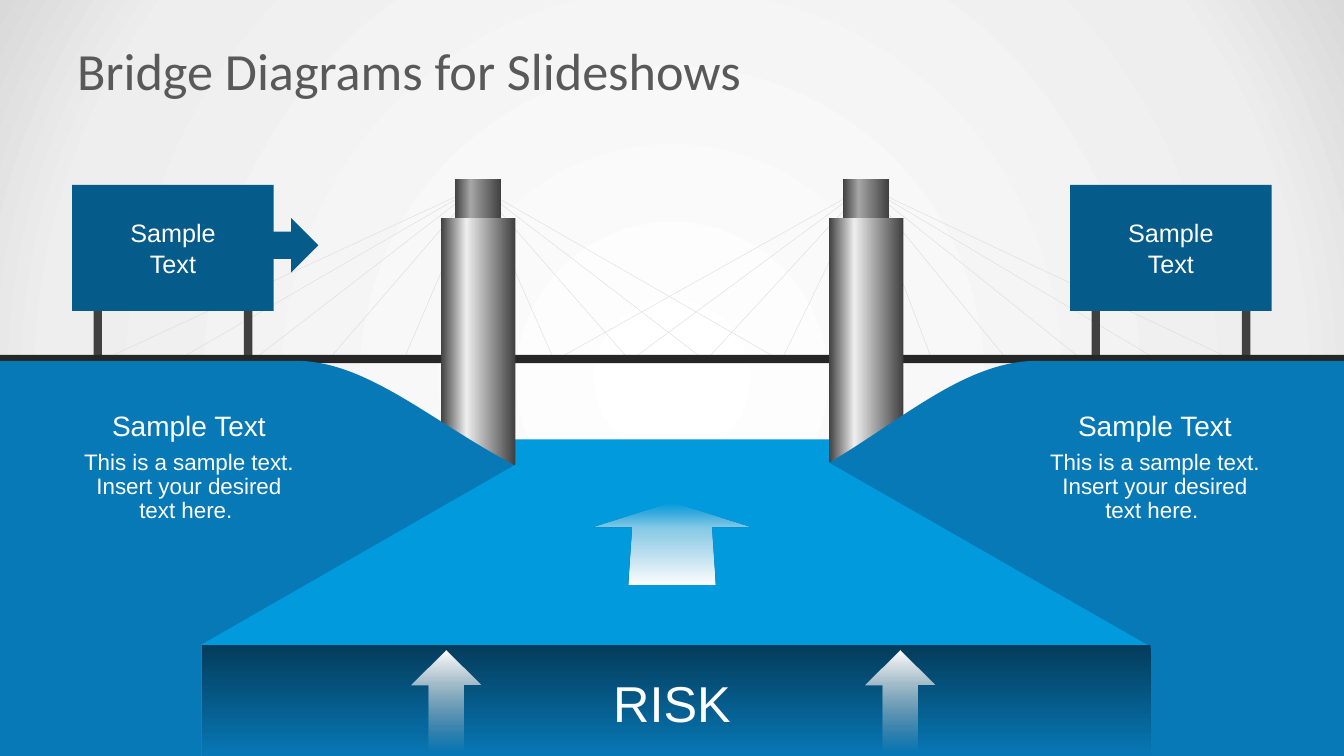
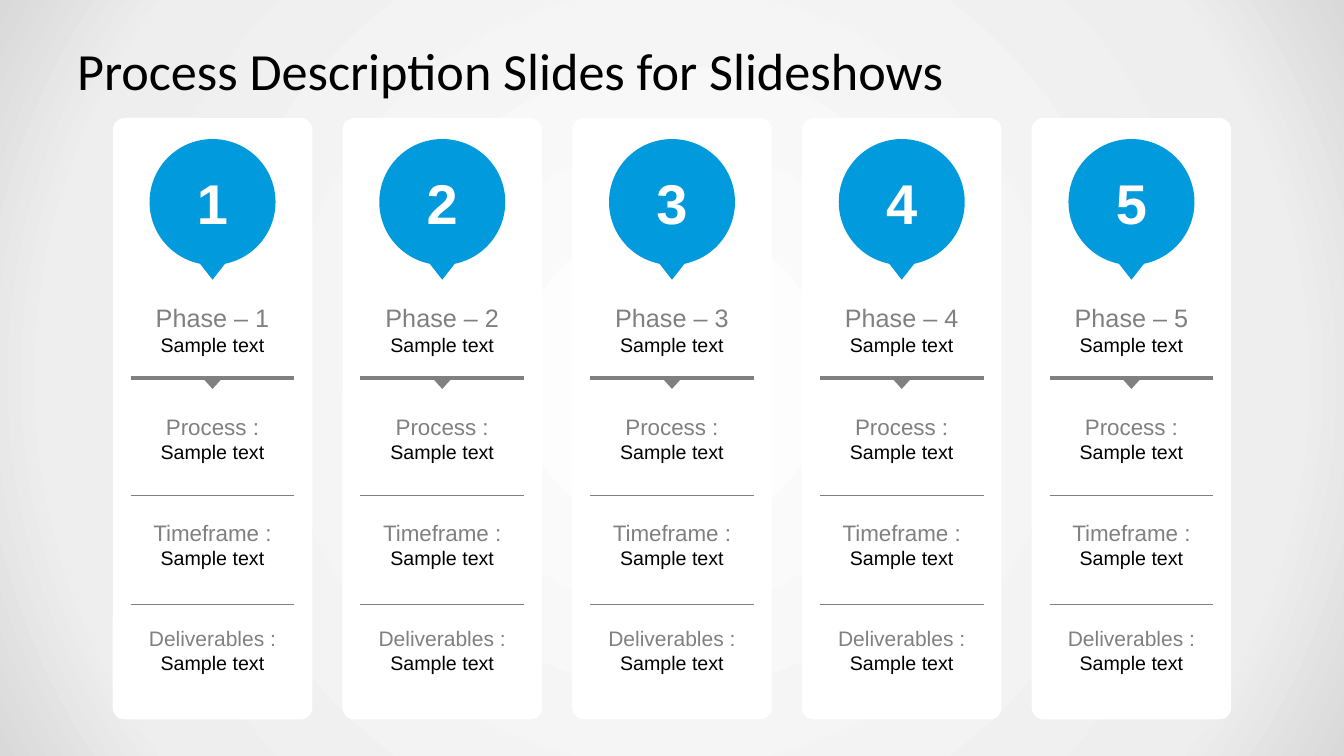
from lxml import etree
from pptx import Presentation, oxml
from pptx import util as u
from pptx.dml.color import RGBColor
from pptx.enum import shapes, text
from pptx.oxml import ns

# Grid: 160 columns by 90 rows of square cells, twelve to the inch
COLUMNS, ROWS = 160, 90
CELL = u.Inches(1) // 12

WHITE = RGBColor(0xFF, 0xFF, 0xFF)
BLACK = RGBColor(0x00, 0x00, 0x00)
PALE = RGBColor(0xEE, 0xEE, 0xEE)
LIGHT = RGBColor(0xD9, 0xD9, 0xD9)
SILVER = RGBColor(0xA6, 0xA6, 0xA6)
GRAY = RGBColor(0x80, 0x80, 0x80)
SLATE = RGBColor(0x59, 0x59, 0x59)
STEEL = RGBColor(0x40, 0x40, 0x40)
ASPHALT = RGBColor(0x26, 0x26, 0x26)
WATER = RGBColor(0x01, 0x9A, 0xDD)
BANK = RGBColor(0x07, 0x79, 0xB7)
BOARD = RGBColor(0x05, 0x5B, 0x89)
DEPTH = RGBColor(0x04, 0x3C, 0x5C)

BODY_FONT, TITLE_FONT = "Arial", "Calibri"
KIND = shapes.MSO_SHAPE


def cells(*lengths):
    return [u.Emu(round(length * CELL)) for length in lengths]


def gradient(*stops, angle=None):
    """Build a gradient from (percent, colour[, opacity]); no angle means radial."""
    stop_xml = ""
    for position, colour, *opacity in stops:
        alpha = f'<a:alpha val="{opacity[0] * 1000}"/>' if opacity else ""
        stop_xml += (f'<a:gs pos="{position * 1000}"><a:srgbClr val="{colour}">'
                     f'{alpha}</a:srgbClr></a:gs>')
    if angle is None:
        direction = ('<a:path path="circle"><a:fillToRect l="50000" t="50000" '
                     'r="50000" b="50000"/></a:path>')
    else:
        direction = f'<a:lin ang="{angle * 60000}" scaled="0"/>'
    return oxml.parse_xml(f'<a:gradFill {ns.nsdecls("a")} rotWithShape="1">'
                          f'<a:gsLst>{stop_xml}</a:gsLst>{direction}</a:gradFill>')


def paint(fill, parent, paint_with):
    """Fill with a plain colour, or swap the plain fill for a gradient."""
    fill.solid()
    if isinstance(paint_with, RGBColor):
        fill.fore_color.rgb = paint_with
    else:
        parent.replace(parent.find(ns.qn("a:solidFill")), paint_with)


def write(paragraph, words, size=16, colour=WHITE, font=BODY_FONT, bold=False,
          align=text.PP_ALIGN.CENTER, spacing=1.0):
    paragraph.alignment = align
    paragraph.line_spacing = spacing
    run = paragraph.add_run()
    run.text = words
    run.font.name, run.font.size, run.font.bold = font, u.Pt(size), bold
    run.font.color.rgb = colour


class Deck:
    def __init__(self):
        self.presentation = Presentation()
        self.presentation.slide_width, self.presentation.slide_height = cells(COLUMNS, ROWS)
        master = self.presentation.slide_master
        fill = master.background.fill
        fill.solid()
        paint(fill, master.element.xpath(".//p:bgPr")[0],
              gradient((0, WHITE), (81, PALE), (100, LIGHT)))
        self.slide = None

    def new_slide(self, title, colour):
        self.slide = self.presentation.slides.add_slide(self.presentation.slide_layouts[6])
        self.text(8, 3.6, 144, 9.4, title, anchor=text.MSO_ANCHOR.MIDDLE, size=37.3,
                  colour=colour, font=TITLE_FONT, align=text.PP_ALIGN.LEFT)

    def finish(self, shape, fill):
        paint(shape.fill, shape.element.spPr, fill)
        shape.line.fill.background()
        shape.shadow.inherit = False
        return shape

    def shape(self, kind, left, top, width, height, fill, lines=(), **style):
        shape = self.slide.shapes.add_shape(kind, *cells(left, top, width, height))
        if lines:
            self.fill_frame(shape.text_frame, lines, text.MSO_ANCHOR.MIDDLE, style)
        return self.finish(shape, fill)

    def outline(self, points, fill, curves=()):
        """Closed outline; each index in curves starts three points of a cubic curve."""
        corners = [cells(*point) for point in points]
        builder = self.slide.shapes.build_freeform(*corners[0])
        builder.add_line_segments(corners[1:], close=True)
        shape = builder.convert_to_shape()
        segments = shape.element.xpath(".//a:lnTo")
        for first in curves:
            line, *others = segments[first - 1:first + 2]
            bend = etree.Element(ns.qn("a:cubicBezTo"))
            line.addprevious(bend)
            for segment in (line, *others):
                bend.append(segment[0])
                segment.getparent().remove(segment)
        return self.finish(shape, fill)

    def line(self, start, end, colour, width):
        connector = self.slide.shapes.add_connector(
            shapes.MSO_CONNECTOR.STRAIGHT, *cells(*start, *end))
        connector.line.color.rgb = colour
        connector.line.width = u.Pt(width)
        etree.SubElement(connector.element.spPr, ns.qn("a:effectLst"))

    def text(self, left, top, width, height, *lines, anchor=text.MSO_ANCHOR.TOP, **style):
        box = self.slide.shapes.add_textbox(*cells(left, top, width, height))
        self.fill_frame(box.text_frame, lines, anchor, style)

    def fill_frame(self, frame, lines, anchor, style):
        """Each line is text, or a (text, own style) pair."""
        frame.word_wrap = True
        frame.vertical_anchor = anchor
        for index, line in enumerate(lines):
            words, own_style = (line, {}) if isinstance(line, str) else line
            paragraph = frame.add_paragraph() if index else frame.paragraphs[0]
            write(paragraph, words, **{**style, **own_style})


def bridge_slide(deck):
    deck.new_slide("Bridge Diagrams for Slideshows", SLATE)
    deck_top = 42.95

    # Cables, evenly spaced on the deck, none straight below a tower
    for apex, first, below in ((56.9, 12, 57), (103.1, 66, 102)):
        for foot in range(first, first + 82, 9):
            if foot != below:
                deck.line((apex, 22.2), (foot, deck_top), LIGHT, 0.25)

    # Sign posts
    board_width = 24
    boards = (8.6, COLUMNS - board_width - 8.6)
    for board in boards:
        for offset in (2.55, 20.45):
            deck.shape(KIND.RECTANGLE, board + offset, 36, 1, 9, STEEL)

    # Far water, road and towers
    deck.shape(KIND.RECTANGLE, 45, 52.3, 69, 16, WATER)
    deck.shape(KIND.RECTANGLE, 0, 42.25, COLUMNS, 1, ASPHALT)
    for tower in (52.5, 98.7):
        for left, top, width, height, shine in ((tower + 1.65, 21.3, 5.5, 8, SILVER),
                                                (tower, 26, 8.85, 42.6, PALE)):
            deck.shape(KIND.RECTANGLE, left, top, width, height,
                       gradient((0, STEEL), (34, shine), (100, STEEL), angle=0))

    # Banks and river
    deck.outline([(COLUMNS, deck_top), (123.5, deck_top),
                  (110, deck_top), (98.8, 60.7), (81, 60.7),
                  (59.8, 60.7), (48.5, deck_top), (35.2, deck_top),
                  (0, deck_top), (0, ROWS), (COLUMNS, ROWS)], BANK, curves=(2, 5))
    deck.outline([(0.85, ROWS), (61.4, 55.3), (68.6, 52.4), (91.4, 52.3), (98.9, 55.2),
                  (159.7, ROWS)], WATER, curves=(2,))

    # Foreground
    risk_left, risk_right, risk_top = 24, 137, 76.8
    for left, right in ((0, risk_left), (risk_right, COLUMNS)):
        deck.shape(KIND.RECTANGLE, left, 76.55, right - left, ROWS - 76.55, BANK)
    deck.shape(KIND.RECTANGLE, risk_left, risk_top, risk_right - risk_left, 13.55,
               gradient((0, DEPTH), (100, BANK), angle=90))
    deck.text(70, 80.15, 20, 7.8, "RISK", anchor=text.MSO_ANCHOR.MIDDLE, size=36, spacing=0.9)
    for left in (49, 103):
        deck.shape(KIND.UP_ARROW, left, 77.4, 8.2, 12.1,
                   gradient((0, WHITE), (100, LIGHT, 0), angle=90))
    half_arrow = [(9.4, 62.75), (4.75, 62.75), (5.2, 69.6)]
    deck.outline([(80, 59.8)] + [(80 + x, y) for x, y in half_arrow]
                 + [(80 - x, y) for x, y in reversed(half_arrow)],
                 gradient((0, WHITE), (70, PALE, 55), (100, LIGHT, 0), angle=270))

    # Bank captions and boards
    for left in (8, 123):
        deck.text(left, 53.1, 29, 10, "This is a sample text. Insert your desired text here. ",
                  spacing=0.9)
        deck.text(left, 48, 29, 5.3, "Sample Text", size=20)
    for board in boards:
        deck.shape(KIND.RECTANGLE, board, 22, board_width, 15, BOARD, ("Sample", "Text"), size=18)
    deck.shape(KIND.RIGHT_ARROW, 28.4, 25.95, 9.5, 6.5, BOARD)


def process_slide(deck):
    deck.new_slide("Process Description Slides for Slideshows", BLACK)
    card_width, gap, count = 23.75, 3.6, 5
    margin = (COLUMNS - count * card_width - (count - 1) * gap) / 2

    for index in range(count):
        number = index + 1
        left = margin + index * (card_width + gap)
        middle = left + card_width / 2

        # Card and numbered pin
        card = deck.shape(KIND.ROUNDED_RECTANGLE, left, 14.05, card_width, 71.6, WHITE)
        card.adjustments[0] = 0.06
        deck.shape(KIND.OVAL, middle - 7.5, 16.55, 15, 15, WATER, (str(number),),
                   size=40, bold=True)
        deck.shape(KIND.FLOWCHART_MERGE, middle - 2, 30.75, 4, 2.55, WATER)

        # Entries
        for top, heading, size in ((35.4, f"Phase – {number}", 18), (48.55, "Process :", 16),
                                   (61.2, "Timeframe :", 16), (73.9, "Deliverables :", 15)):
            deck.text(middle - 9, top, 18, 7.4, (heading, {"size": size, "colour": GRAY}),
                      ("Sample text", {"size": 14, "colour": BLACK}))

        # Dividers
        for row, width in ((45, 3), (59, 0.75), (72, 0.75)):
            deck.line((middle - 9.75, row), (middle + 9.75, row), GRAY, width)
        deck.shape(KIND.FLOWCHART_MERGE, middle - 1, 45.2, 2, 1.1, GRAY)


def main():
    deck = Deck()
    bridge_slide(deck)
    process_slide(deck)
    deck.presentation.save("out.pptx")


if __name__ == "__main__":
    main()
